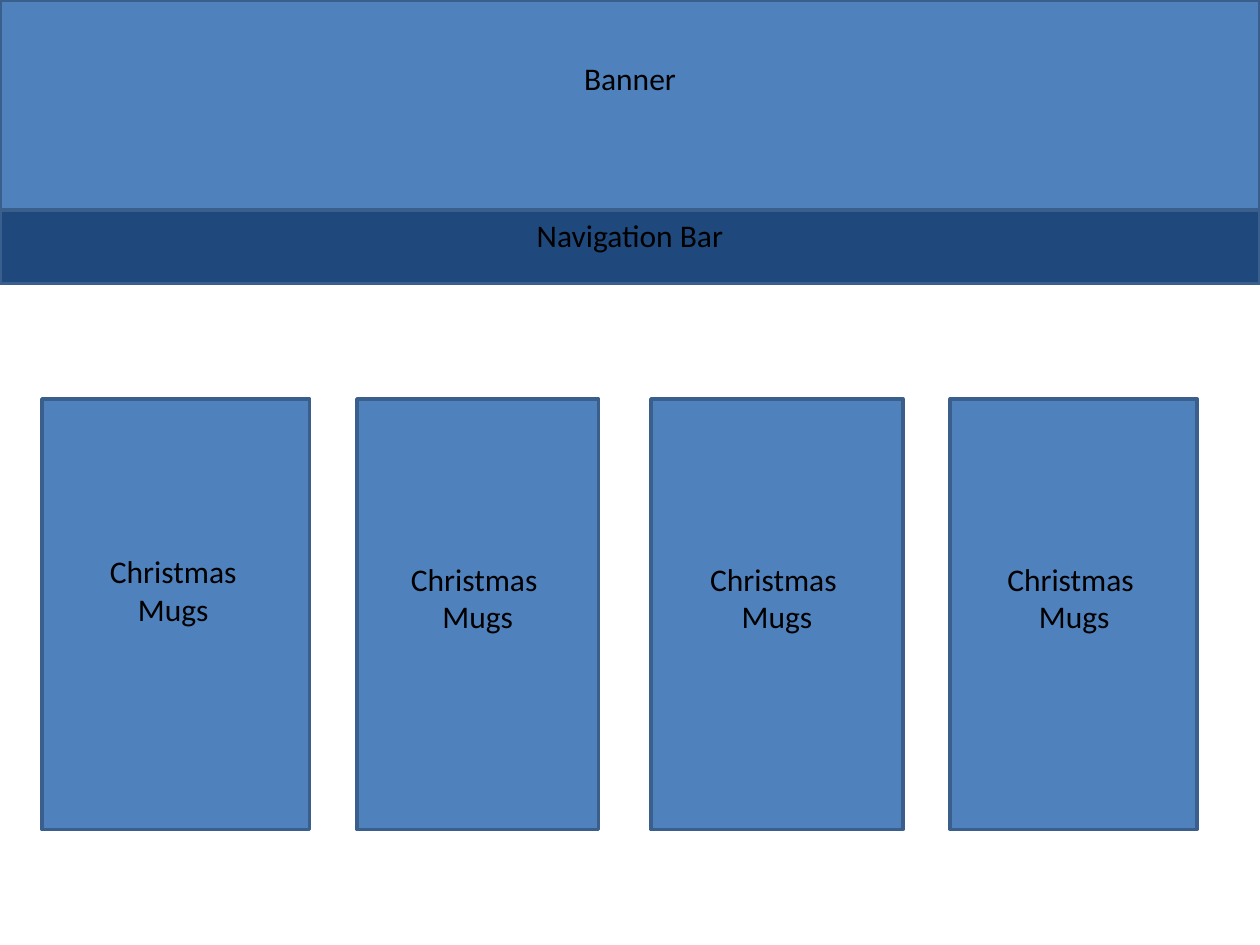
"""Build a shop page wireframe with a banner, a navigation bar and four product cards."""

from dataclasses import dataclass

from pptx import Presentation
from pptx.dml.color import RGBColor
from pptx.enum.shapes import MSO_SHAPE
from pptx.enum.text import MSO_ANCHOR, MSO_AUTO_SIZE, PP_ALIGN
from pptx.shapes.autoshape import Shape
from pptx.slide import Slide
from pptx.util import Emu, Inches, Pt

CELL = Inches(1) // 24


@dataclass(frozen=True)
class Theme:
    panel: RGBColor = RGBColor(0x4F, 0x81, 0xBD)
    navigation: RGBColor = RGBColor(0x1F, 0x49, 0x7D)
    outline: RGBColor = RGBColor(0x3A, 0x5F, 0x8C)
    text: RGBColor = RGBColor(0, 0, 0)
    font: str = "Calibri"
    text_size: Pt = Pt(18)
    outline_width: Pt = Pt(2)


@dataclass(frozen=True)
class Area:
    column: float
    row: float
    columns: float
    rows: float

    def lengths(self) -> tuple[Emu, ...]:
        cells = (self.column, self.row, self.columns, self.rows)
        return tuple(Emu(round(count * CELL)) for count in cells)


@dataclass(frozen=True)
class Card:
    column: float
    columns: float
    label_column: float
    label_row: float
    label: str

    def area(self) -> Area:
        return Area(self.column, 76, self.columns, 82)

    def label_area(self) -> Area:
        return Area(self.label_column, self.label_row, 42, 17)


THEME = Theme()
BANNER = Area(0, 0, 240, 54)
BANNER_LABEL = Area(59, 10, 122, 9.7)
NAVIGATION = Area(0, 40, 240, 14)
NAVIGATION_LABEL = Area(83, 40, 74, 9.7)
CARDS = (
    Card(8, 51, 12, 104, "Christmas\nMugs"),
    Card(68, 46, 70, 105.4, "Christmas \nMugs"),
    Card(124, 48, 127, 105.4, "Christmas \nMugs"),
    Card(181, 47, 183.6, 105.4, "Christmas \nMugs"),
)


def draw_panel(slide: Slide, area: Area, color: RGBColor) -> None:
    shape = slide.shapes.add_shape(MSO_SHAPE.RECTANGLE, *area.lengths())
    shape.shadow.inherit = False
    shape.fill.solid()
    shape.fill.fore_color.rgb = color
    shape.line.color.rgb = THEME.outline
    shape.line.width = THEME.outline_width


def write_label(shape: Shape, text: str) -> None:
    frame = shape.text_frame
    frame.text = text
    frame.word_wrap = True
    frame.auto_size = MSO_AUTO_SIZE.SHAPE_TO_FIT_TEXT
    frame.vertical_anchor = MSO_ANCHOR.TOP
    for paragraph in frame.paragraphs:
        paragraph.alignment = PP_ALIGN.CENTER
        for run in paragraph.runs:
            run.font.name = THEME.font
            run.font.size = THEME.text_size
            run.font.color.rgb = THEME.text


def draw_label(slide: Slide, area: Area, text: str) -> None:
    write_label(slide.shapes.add_textbox(*area.lengths()), text)


def place_title(slide: Slide, area: Area, text: str) -> None:
    title = slide.shapes.title
    title.left, title.top, title.width, title.height = area.lengths()
    write_label(title, text)
    title.element.getparent().append(title.element)


def main() -> None:
    presentation = Presentation()
    presentation.slide_width = Inches(10)
    presentation.slide_height = Inches(7.5)
    slide = presentation.slides.add_slide(presentation.slide_layouts[5])
    draw_panel(slide, BANNER, THEME.panel)
    draw_panel(slide, NAVIGATION, THEME.navigation)
    place_title(slide, BANNER_LABEL, "Banner")
    draw_label(slide, NAVIGATION_LABEL, "Navigation Bar")
    for card in CARDS:
        draw_panel(slide, card.area(), THEME.panel)
        draw_label(slide, card.label_area(), card.label)
    presentation.save("out.pptx")


if __name__ == "__main__":
    main()
